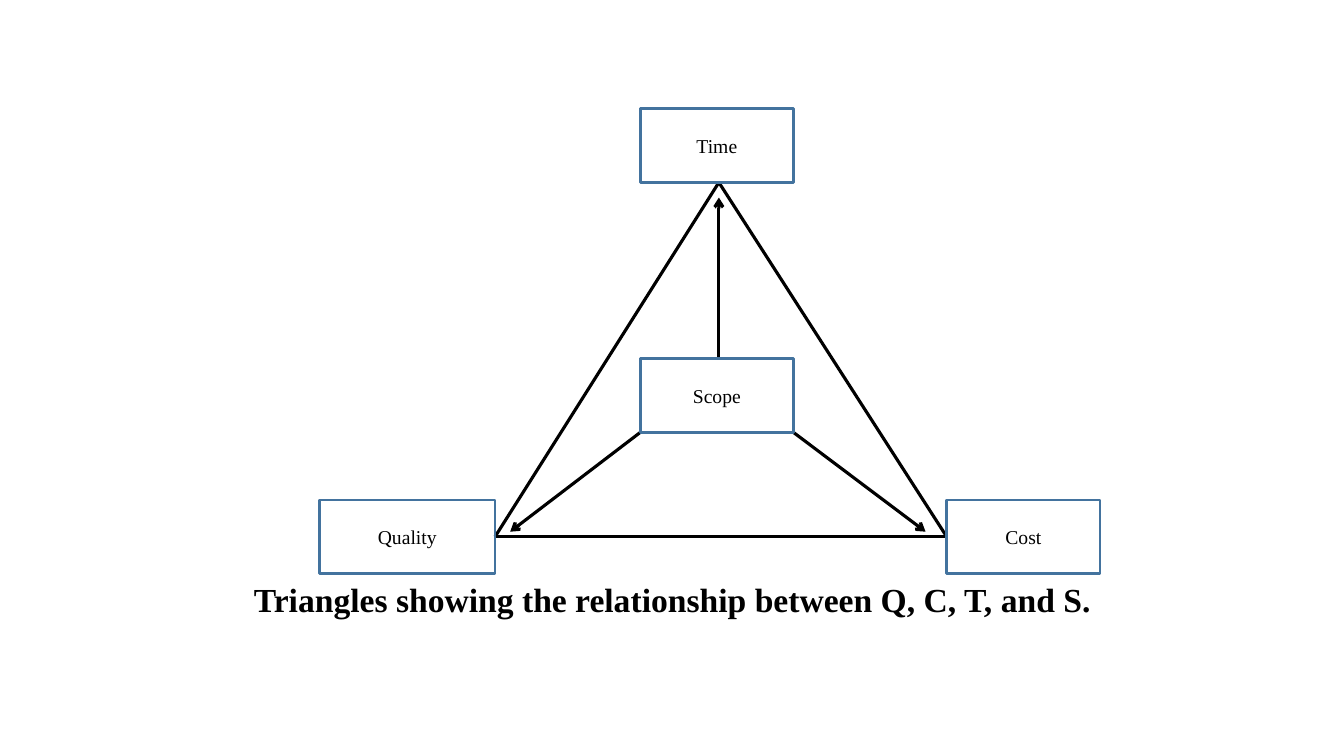
from dataclasses import dataclass

from lxml.etree import SubElement
from pptx import Presentation
from pptx.dml.color import RGBColor as RGB
from pptx.enum.shapes import MSO_CONNECTOR as CONN, MSO_SHAPE as SHAPE
from pptx.enum.text import MSO_ANCHOR as ANCHOR, PP_ALIGN as ALIGN
from pptx.oxml.ns import qn
from pptx.util import Inches, Pt


@dataclass(frozen=True)
class Theme:
    font: str = "Times New Roman"
    ink: RGB = RGB(0x00, 0x00, 0x00)
    border: RGB = RGB(0x43, 0x73, 0x9E)
    caption_size: Pt = Pt(24)
    label_size: Pt = Pt(14)
    border_width: Pt = Pt(2)
    line_width: Pt = Pt(2.25)


THEME = Theme()
CAPTION = "Triangles showing the relationship between Q, C, T, and S."
CAPTION_BOX = (2.42, 5.69, 8.75, 0.81)
BOX_H = 0.73
# label: (left, top, width)
BOXES = {
    "Time": (6.35, 1.08, 1.52),
    "Scope": (6.35, 3.56, 1.52),
    "Quality": (3.17, 4.96, 1.74),
    "Cost": (9.39, 4.96, 1.52),
}
APEX_X = 7.13
ARROW_GAP = 0.15


def style(p, size, bold=False):
    p.font.name, p.font.size, p.font.bold = THEME.font, size, bold
    p.font.color.rgb = THEME.ink


def add_line(slide, start, end, arrow=False):
    line = slide.shapes.add_connector(CONN.STRAIGHT, *map(Inches, start + end))
    line.line.color.rgb = THEME.ink
    line.line.width = THEME.line_width
    if arrow:
        SubElement(line.line._get_or_add_ln(), qn("a:tailEnd"), type="arrow")
    SubElement(line._element.spPr, qn("a:effectLst"))


def add_box(slide, label, left, top, width):
    sp = slide.shapes.add_shape(SHAPE.RECTANGLE, *map(Inches, (left, top, width, BOX_H)))
    sp.shadow.inherit = False
    sp.fill.background()
    sp.line.color.rgb = THEME.border
    sp.line.width = THEME.border_width
    tf = sp.text_frame
    tf.vertical_anchor = ANCHOR.MIDDLE
    p = tf.paragraphs[0]
    p.text = label
    p.alignment = ALIGN.CENTER
    style(p, THEME.label_size)


def add_caption(slide):
    tf = slide.shapes.add_textbox(*map(Inches, CAPTION_BOX)).text_frame
    tf.word_wrap = True
    p = tf.paragraphs[0]
    p.text = CAPTION
    style(p, THEME.caption_size, bold=True)


def add_triangle(slide):
    """Join the outer boxes, then point from Scope towards each corner."""
    q_left, q_top, q_width = BOXES["Quality"]
    s_left, s_top, s_width = BOXES["Scope"]
    base_y = q_top + BOX_H / 2
    apex = (APEX_X, BOXES["Time"][1] + BOX_H)
    quality = (q_left + q_width, base_y)
    cost = (BOXES["Cost"][0], base_y)
    for start, end in ((quality, apex), (apex, cost), (quality, cost)):
        add_line(slide, start, end)

    s_bottom = s_top + BOX_H
    tip_y = base_y - 0.05
    arrows = (
        ((s_left, s_bottom), (quality[0] + ARROW_GAP, tip_y)),
        ((APEX_X, s_top), (APEX_X, apex[1] + ARROW_GAP)),
        ((s_left + s_width, s_bottom), (cost[0] - 0.21, tip_y)),
    )
    for start, end in arrows:
        add_line(slide, start, end, arrow=True)


def main():
    prs = Presentation()
    prs.slide_width, prs.slide_height = Inches(13.33), Inches(7.5)
    slide = prs.slides.add_slide(prs.slide_layouts[6])
    add_caption(slide)
    add_triangle(slide)
    for label, place in BOXES.items():
        add_box(slide, label, *place)
    prs.save("out.pptx")


if __name__ == "__main__":
    main()
